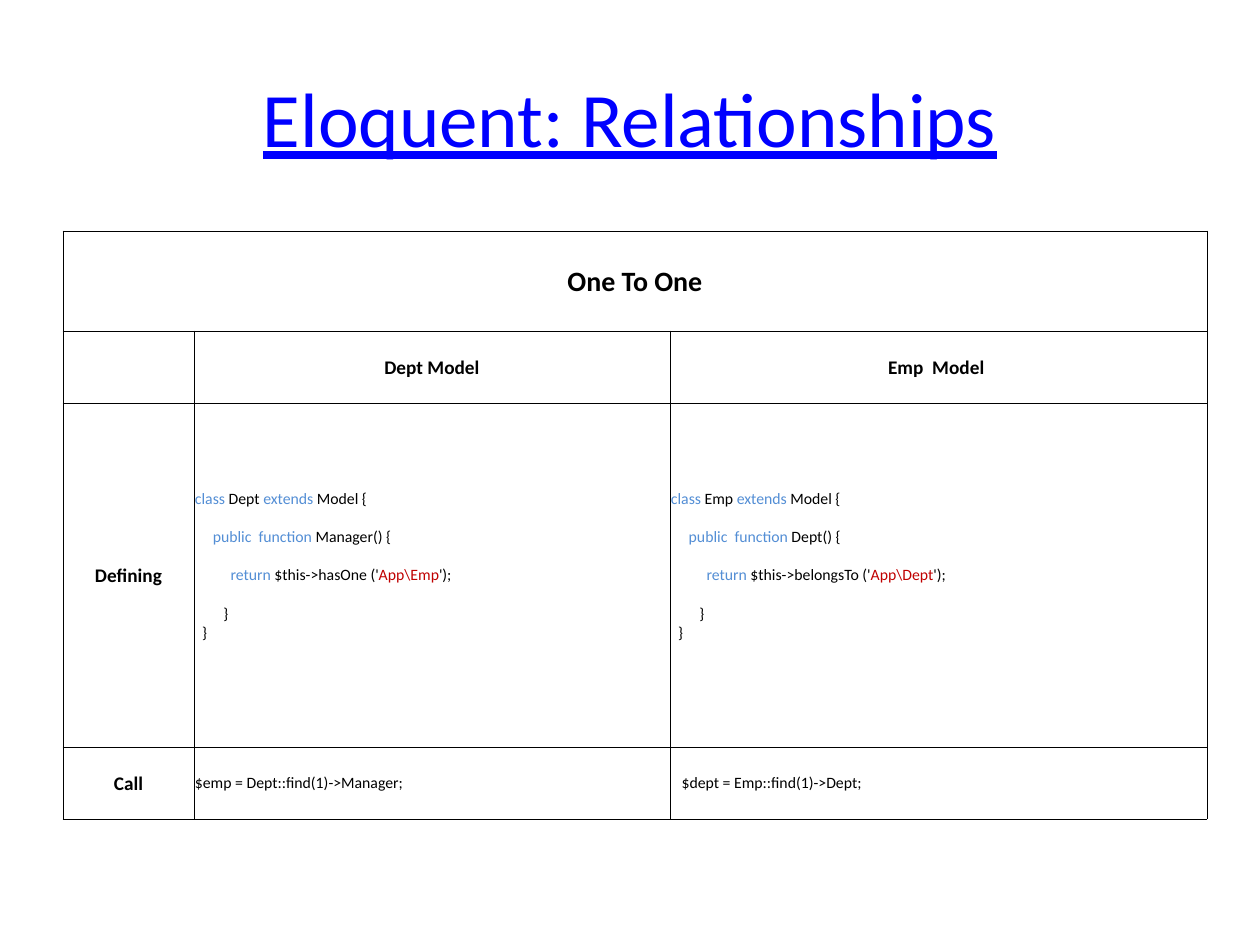
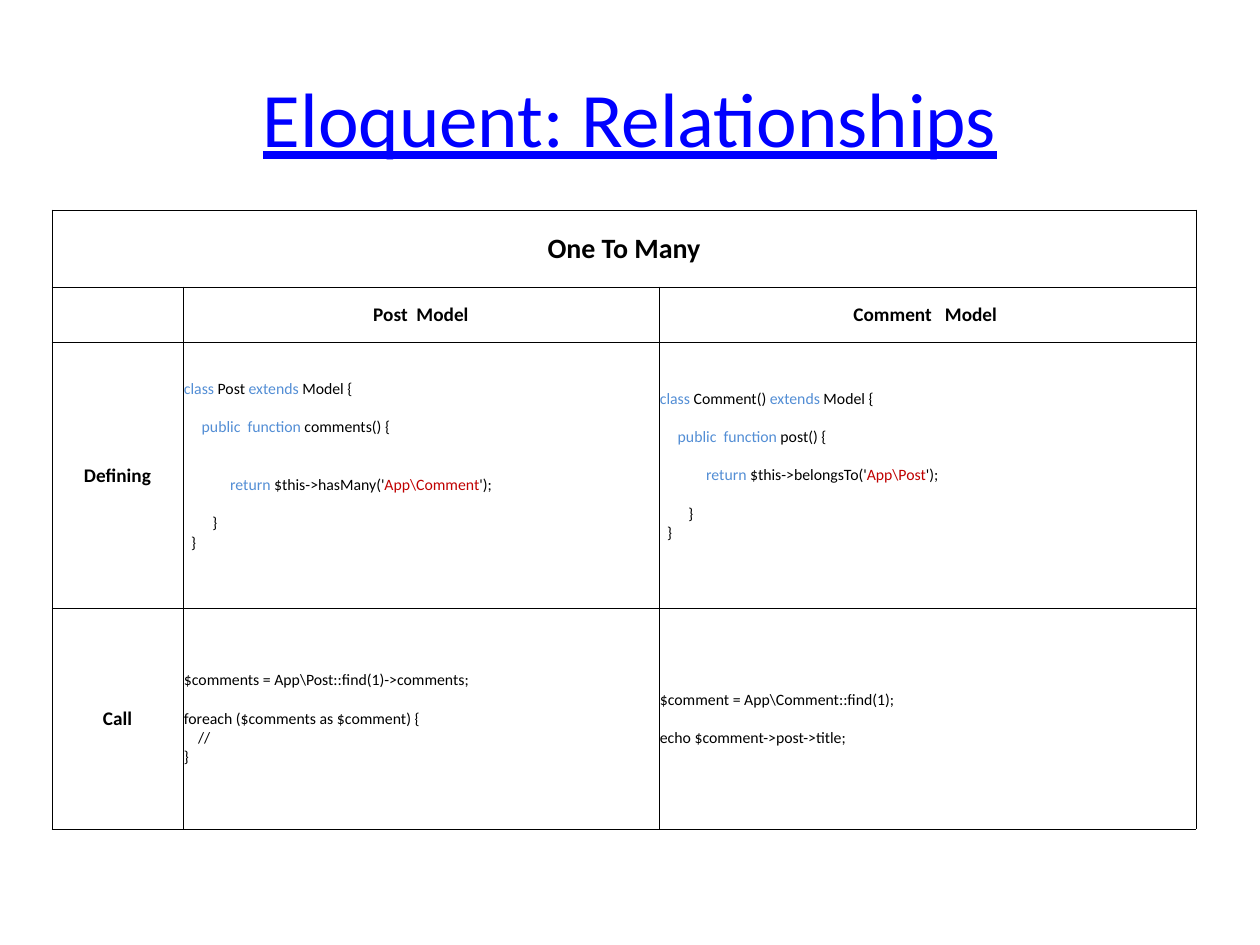
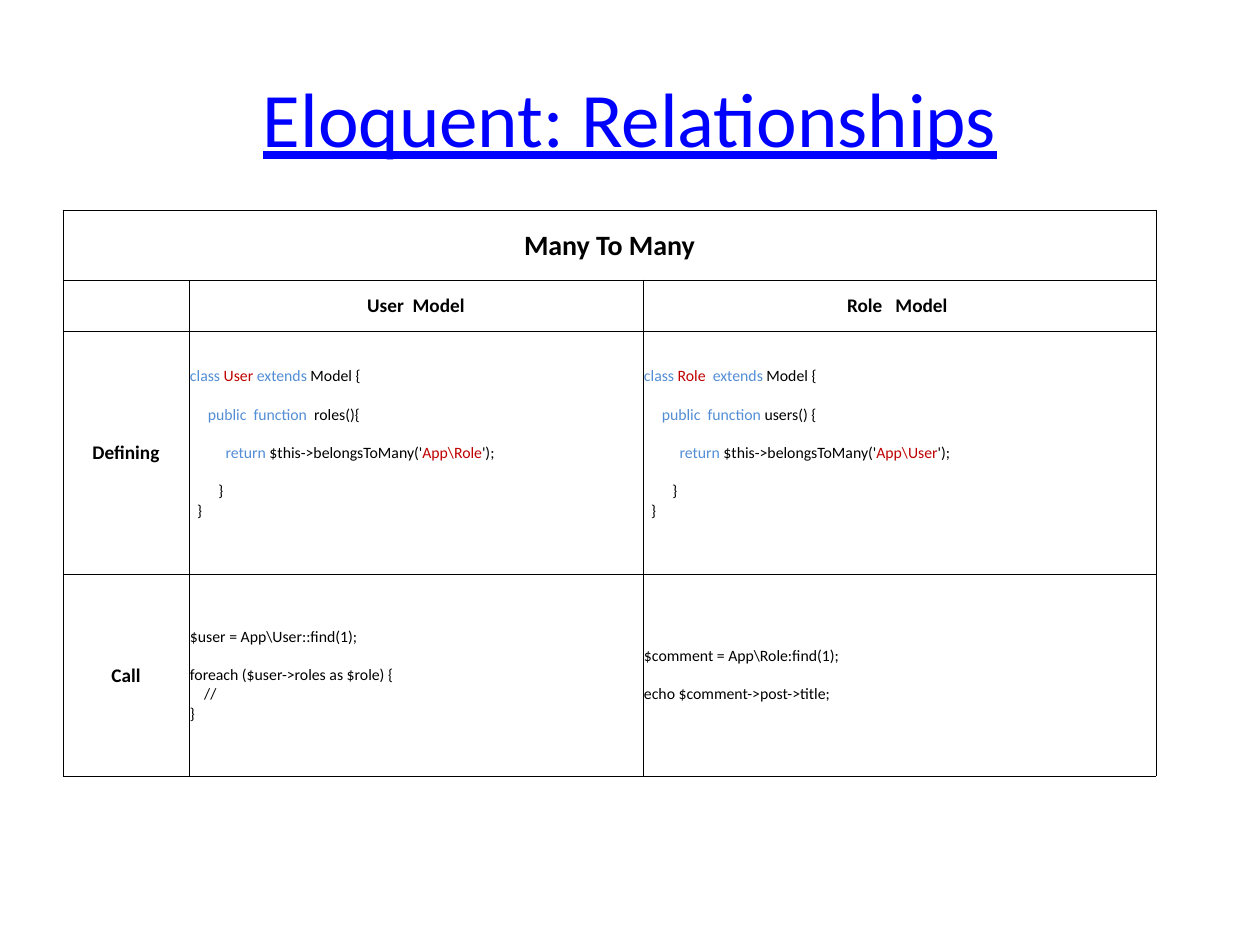
from lxml import etree
from pptx import Presentation
from pptx import util as u
from pptx.dml.color import RGBColor
from pptx.enum import text
from pptx.oxml import ns

BLUE, RED, BLACK, LINK = "538ED5", "C00000", "000000", "0000FF"
FONT = "Calibri"
CODE_SIZE, CODE_LINE = 9, 11
KEYWORDS = ("class", "extends", "public  function", "return")
CENTER, LEFT = text.PP_ALIGN.CENTER, text.PP_ALIGN.LEFT


def px(n):
    return u.Emu(round(n * 914400 / 126))


def add_run(p, words, size, color=BLACK, bold=False):
    r = p.add_run()
    r.text = words
    r.font.name = FONT
    r.font.size = u.Pt(size)
    r.font.bold = bold
    r.font.color.rgb = RGBColor.from_string(color)
    return r


relations = [
    dict(
        name="One To One", left=63, top=231,
        cols=(131, 476, 537), rows=(100, 72, 344, 72),
        models=("Dept Model", "Emp  Model "),
        defining=(r"""class| Dept |extends| Model {

     |public  function| Manager() {

          |return| $this->hasOne ('|App\Emp|');

        }
  }""", r"""class| Emp |extends| Model {

     |public  function| Dept() {

          |return| $this->belongsTo ('|App\Dept|');

        }
  }"""),
        call=("$emp = Dept::find(1)->Manager;", "   $dept = Emp::find(1)->Dept;"),
        red=(r"App\Emp", r"App\Dept")),
    dict(
        name="One To Many", left=52, top=210,
        cols=(131, 476, 537), rows=(77, 55, 266, 221),
        models=("Post  Model", "Comment   Model "),
        defining=(r"""class| Post |extends| Model {

     |public  function| comments() {


             |return| $this->hasMany('|App\Comment|');

        }
  }""", r"""class| Comment() |extends| Model {

     |public  function| post() {

             |return| $this->belongsTo('|App\Post|');

        }
  }"""),
        call=(r"""$comments = App\Post::find(1)->comments;

foreach ($comments as $comment) {
    //
}""", r"""$comment = App\Comment::find(1);

echo $comment->post->title;"""),
        red=(r"App\Comment", r"App\Post")),
    dict(
        name="Many To Many", left=63, top=210,
        cols=(126, 454, 513), rows=(70, 51, 243, 202),
        models=("User  Model", "Role   Model "),
        defining=(r"""class |User |extends |Model {

     |public  function | roles(){

          |return| $this->belongsToMany('|App\Role|');

        }
  }""", r"""class |Role  |extends| Model {

     |public  function |users() {

          |return| $this->belongsToMany('|App\User|');

        }
  }"""),
        call=(r"""$user = App\User::find(1);

foreach ($user->roles as $role) {
    //
}""", r"""$comment = App\Role:find(1);

echo $comment->post->title;"""),
        red=("User", "Role", r"App\Role", r"App\User")),
]

prs = Presentation()
prs.slide_width, prs.slide_height = px(1260), px(945)

for rel in relations:
    s = prs.slides.add_slide(prs.slide_layouts[6])

    title = s.shapes.add_textbox(px(63), px(38), px(1134), px(157))
    tf = title.text_frame
    tf.word_wrap = True
    tf.vertical_anchor = text.MSO_ANCHOR.MIDDLE
    p = tf.paragraphs[0]
    p.alignment = CENTER
    add_run(p, "Eloquent: Relationships", 44, LINK).font.underline = True

    cols, rows = rel["cols"], rel["rows"]
    tbl = s.shapes.add_table(len(rows), len(cols), px(rel["left"]), px(rel["top"]),
                             px(sum(cols)), px(sum(rows))).table
    tbl.first_row = tbl.horz_banding = False
    for col, width in zip(tbl.columns, cols):
        col.width = px(width)
    for row, height in zip(tbl.rows, rows):
        row.height = px(height)
    tbl.cell(0, 0).merge(tbl.cell(0, 2))

    for cell in tbl.iter_cells():
        cell.margin_left = cell.margin_right = cell.margin_top = px(1)
        cell.margin_bottom = 0
        cell.vertical_anchor = text.MSO_ANCHOR.MIDDLE
        tcPr = cell._tc.get_or_add_tcPr()
        for side in ("a:lnL", "a:lnR", "a:lnT", "a:lnB"):
            ln = etree.SubElement(tcPr, ns.qn(side), w=str(u.Pt(0.5)))
            fill = etree.SubElement(ln, ns.qn("a:solidFill"))
            etree.SubElement(fill, ns.qn("a:srgbClr"), val=BLACK)
        cell.fill.background()

    headings = [(0, 0, rel["name"], 16), (1, 1, rel["models"][0], 11),
                (1, 2, rel["models"][1], 11), (2, 0, "Defining", 11), (3, 0, "Call", 11)]
    for i, j, words, size in headings:
        p = tbl.cell(i, j).text_frame.paragraphs[0]
        p.alignment = CENTER
        add_run(p, words, size, bold=True)

    for i, key in ((2, "defining"), (3, "call")):
        for j, code in enumerate(rel[key], 1):
            cell = tbl.cell(i, j)
            if key == "defining":
                cell.margin_bottom = px(19)
            tf = cell.text_frame
            p, gap = tf.paragraphs[0], 0
            for line in code.split("\n"):
                if not line:
                    gap += CODE_LINE
                    continue
                if p.runs:
                    p = tf.add_paragraph()
                p.alignment = LEFT
                if gap:
                    p.space_before = u.Pt(gap)
                gap = 0
                for part in line.split("|"):
                    word = part.strip()
                    color = BLUE if word in KEYWORDS else RED if word in rel["red"] else BLACK
                    add_run(p, part, CODE_SIZE, color)

prs.save("out.pptx")
